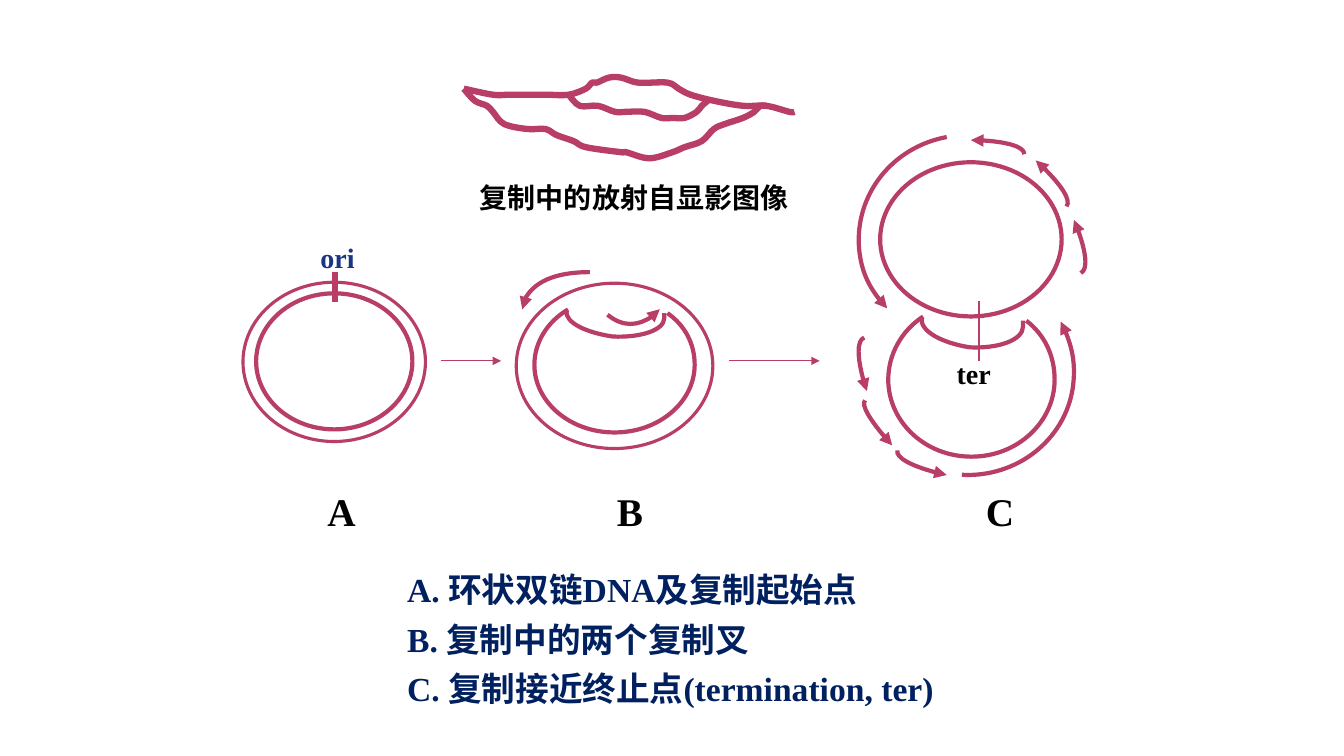
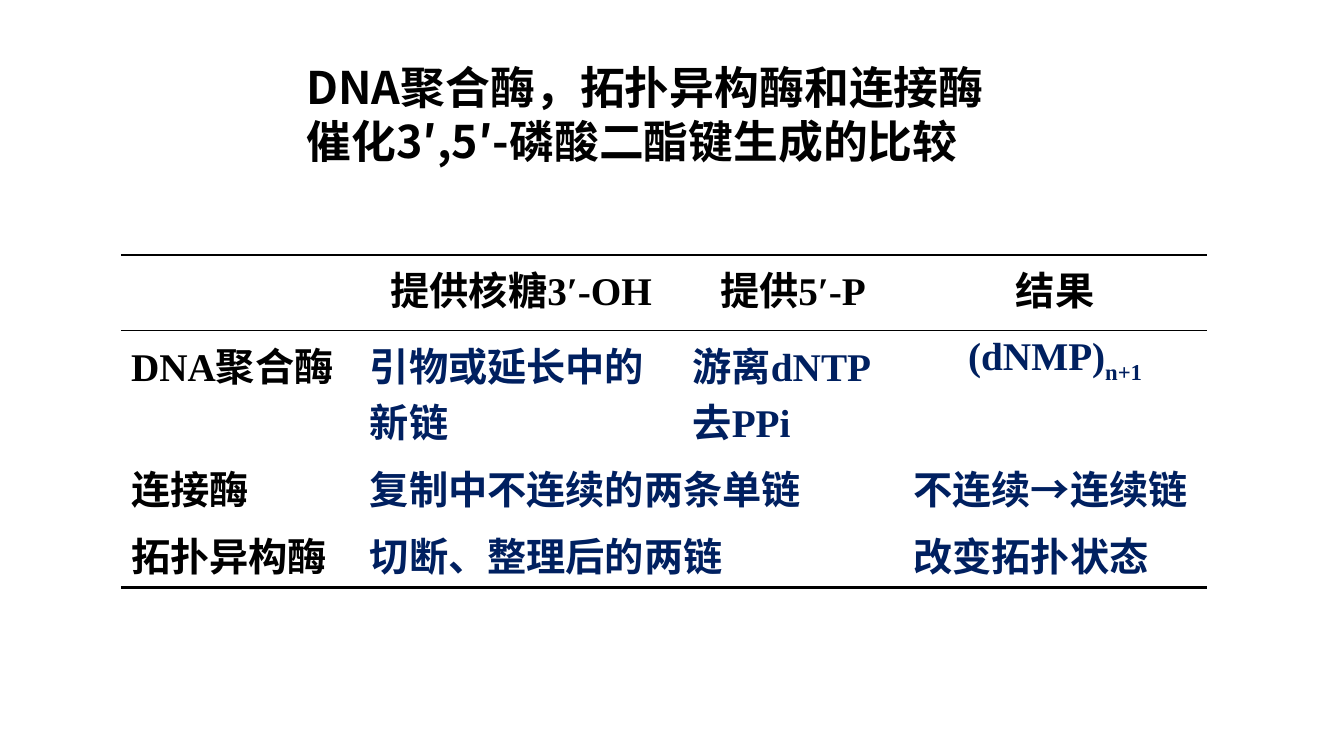
from lxml.etree import SubElement
from pptx import Presentation
from pptx.dml.color import RGBColor
from pptx.enum.shapes import MSO_CONNECTOR, MSO_SHAPE
from pptx.enum.text import MSO_ANCHOR, PP_ALIGN
from pptx.oxml.ns import qn
from pptx.util import Inches, Pt

ROSE, NAVY, BLUE, BLACK = "B83D68", "002060", "193583", "000000"
SERIF, SANS = "Times New Roman", "Noto Sans CJK SC"
NO_GRID = "{2D5ABB26-0587-4C30-8999-92F81FD0307C}"

# Cubic curves in a unit box: an open ring, the strand across its gap, two quarter arcs
RING = [(.83, .03), (.94, .13), (1, .28), (1, .45), (1, .75), (.78, 1), (.5, 1),
        (.22, 1), (0, .75), (0, .45), (0, .27), (.08, .1), (.21, 0)]
STRAND = [(.2, .01), (.19, .11), (.33, .19), (.49, .22), (.66, .23),
          (.81, .17), (.81, .07), (.81, .06), (.81, .04), (.81, .03)]
SWEEP = [(1, 0), (.45, 0), (0, .45), (0, 1)]
DART = [(1, 1), (1, .45), (.55, 0), (0, 0)]


def color(code):
    return RGBColor.from_string(code)


def style(para, size, code, face=SERIF, align=PP_ALIGN.LEFT):
    """Set the font of a paragraph, with one face for its Chinese text."""
    para.alignment = align
    fonts = [para.font] + [run.font for run in para.runs]
    for font in fonts:
        font.size, font.bold, font.name = Pt(size), True, face
        font.color.rgb = color(code)
        SubElement(font._element, qn("a:ea")).set("typeface", SANS)


def smooth(knots):
    """Turn knots into the points of cubic curves that pass through them."""
    ends = [knots[0], *knots, knots[-1]]
    out = [knots[0]]
    for a, b, c, d in zip(ends, ends[1:], ends[2:], ends[3:]):
        out.append((b[0] + (c[0] - a[0]) / 6, b[1] + (c[1] - a[1]) / 6))
        out.append((c[0] - (d[0] - b[0]) / 6, c[1] - (d[1] - b[1]) / 6))
        out.append(c)
    return out


def bend(shape, spots):
    """Replace the straight steps of a freeform by cubic curves."""
    route = next(shape._element.iter(qn("a:path")))
    for step in route.findall(qn("a:lnTo")):
        route.remove(step)
    for i in range(1, len(spots), 3):
        cubic = SubElement(route, qn("a:cubicBezTo"))
        for x, y in spots[i:i + 3]:
            point = SubElement(cubic, qn("a:pt"))
            point.set("x", str(x - shape.left))
            point.set("y", str(y - shape.top))


class Pane:
    """A region of a slide; lengths are inches from its top left corner."""

    def __init__(self, slide, left, top):
        self.shapes, self.left, self.top = slide.shapes, left, top

    def spot(self, x, y):
        return Inches(self.left + x), Inches(self.top + y)

    def ink(self, shape, width, arrow=False):
        shape.line.color.rgb = color(ROSE)
        shape.line.width = Pt(width)
        if arrow:
            SubElement(shape.line._get_or_add_ln(), qn("a:tailEnd")).set("type", "triangle")

    def oval(self, x, y, w, h, width):
        shape = self.shapes.add_shape(MSO_SHAPE.OVAL, *self.spot(x, y), Inches(w), Inches(h))
        shape.shadow.inherit = False
        shape.fill.background()
        self.ink(shape, width)

    def line(self, start, end, width, arrow=False):
        link = self.shapes.add_connector(MSO_CONNECTOR.STRAIGHT, *self.spot(*start), *self.spot(*end))
        self.ink(link, width, arrow)
        SubElement(link._element.spPr, qn("a:effectLst"))

    def curve(self, points, box=(0, 0, 1, 1), width=3, arrow=False, turn=0):
        """Draw cubic curves, scaled into a box and turned by some degrees."""
        x, y, w, h = box
        spots = [self.spot(x + u * w, y + v * h) for u, v in points]
        pen = self.shapes.build_freeform(*spots[0])
        pen.add_line_segments(spots[3::3], close=False)
        shape = pen.convert_to_shape()
        bend(shape, spots)
        shape.rotation = turn
        shape.shadow.inherit = False
        shape.fill.background()
        self.ink(shape, width, arrow)

    def fork(self, *box):
        for part in (RING, STRAND):
            self.curve(part, box)

    def text(self, x, y, w, h, lines, size, code, face=SERIF, align=PP_ALIGN.LEFT,
             wrap=True, pitch=None, gap=0, anchor=MSO_ANCHOR.TOP, tabs=()):
        frame = self.shapes.add_textbox(*self.spot(x, y), Inches(w), Inches(h)).text_frame
        frame.word_wrap, frame.vertical_anchor = wrap, anchor
        frame.text = "\n".join(lines)
        for i, para in enumerate(frame.paragraphs):
            if pitch:
                para.line_spacing = Pt(pitch)
            if i:
                para.space_before = Pt(gap)
            if tabs:
                stops = SubElement(para._p.get_or_add_pPr(), qn("a:tabLst"))
                for tab in tabs:
                    stop = SubElement(stops, qn("a:tab"))
                    stop.set("pos", str(Inches(tab)))
                    stop.set("algn", "l")
            style(para, size, code, face, align)


def film(pane):
    """Draw the autoradiograph with its caption."""
    top = [(0, .18), (.29, .24), (.46, .24), (.81, .24), (1.04, .24), (1.21, .18),
           (1.27, .12), (1.32, .12), (1.44, .07), (1.56, .07), (1.73, .12), (2.02, .12),
           (2.13, .18), (2.25, .24), (2.48, .3), (2.77, .35), (3, .35), (3.23, .41),
           (3.28, .41)]
    low = [(0, .18), (.11, .3), (.23, .35), (.29, .41), (.4, .53), (.63, .58), (.81, .58),
           (.92, .64), (1.09, .7), (1.21, .76), (1.56, .81), (1.61, .81), (1.84, .87),
           (2.07, .81), (2.19, .76), (2.36, .7), (2.48, .58), (2.59, .53), (2.77, .47),
           (2.88, .41), (2.94, .35), (3, .35)]
    inner = [(1.04, .24), (1.15, .35), (1.33, .35), (1.5, .41), (1.61, .41), (1.79, .41),
             (1.96, .47), (2.07, .47), (2.19, .47), (2.31, .41), (2.36, .35), (2.42, .3)]
    for strand in (top, low, inner):
        pane.curve(smooth(strand), width=4.5)
    pane.text(-.3, 1.04, 3.98, .44, ["复制中的放射自显影图像"], 20, BLACK, SANS, PP_ALIGN.CENTER)


def start(pane):
    """Draw stage A, the closed double ring."""
    pane.oval(.01, .5, 1.81, 1.58, 2.25)
    pane.oval(.14, .61, 1.55, 1.35, 3)
    pane.line((.92, .4), (.92, .7), 4.5)
    pane.text(.68, .04, .54, .44, ["ori"], 20, BLUE, wrap=False)


def open_ring(pane):
    """Draw stage B, the ring with two forks."""
    pane.oval(.02, .11, 1.95, 1.64, 2.25)
    pane.fork(.2, .37, 1.59, 1.22)
    pane.curve(SWEEP, (.08, 0, .67, .37), arrow=True)
    pane.curve(SWEEP, (1, .21, .37, .37), arrow=True, turn=219)


def finish(pane):
    """Draw stage C, two rings that are about to part."""
    pane.fork(.31, 1.84, 1.65, 1.39)
    pane.oval(.23, .31, 1.8, 1.53, 3)
    left = [(.89, .06), (.35, .16), (-.02, .63), (.02, 1.16), (.04, 1.38), (.14, 1.6), (.3, 1.76)]
    right = [(1.04, 3.41), (1.58, 3.44), (2.06, 3.07), (2.14, 2.55), (2.17, 2.33), (2.13, 2.09),
             (2.02, 1.89)]
    for arc in (left, right):
        pane.curve(arc, arrow=True)
    darts = [(1.13, .09, .53, .14, 0), (1.66, .45, .53, .14, 41.4), (1.93, 1.07, .51, .15, 66.3),
             (-.17, 2.24, .51, .15, 250.8), (-.04, 2.84, .51, .11, 226.8),
             (.38, 3.22, .53, .14, 191.6)]
    for *box, turn in darts:
        pane.curve(DART, box, arrow=True, turn=turn)
    pane.line((1.21, 1.69), (1.21, 2.28), 1.5)
    pane.text(.89, 2.19, .54, .44, ["ter"], 20, BLACK, wrap=False)


def stages(slide):
    film(Pane(slide, 4.6, .7))
    start(Pane(slide, 2.4, 2.3))
    open_ring(Pane(slide, 5.1, 2.7))
    finish(Pane(slide, 8.5, 1.3))
    page = Pane(slide, 0, 0)
    for left, right in ((4.37, 4.97), (7.23, 8.13)):
        page.line((left, 3.58), (right, 3.58), .75, arrow=True)
    page.text(3.15, 4.79, 7.1, .57, ["A\tB\tC"], 28, BLACK, tabs=(2.87, 6.53))
    page.text(3.94, 5.59, 6.15, 1.48,
              ["A. 环状双链DNA及复制起始点", "B. 复制中的两个复制叉",
               "C. 复制接近终止点(termination, ter)"], 24, NAVY, pitch=29.3, gap=6)


def rule(cell, side, width):
    """Set the border on one side of a cell, lnT or lnB; no width leaves it clear."""
    edge = SubElement(cell._tc.get_or_add_tcPr(), qn("a:" + side))
    if width:
        edge.set("w", str(Pt(width)))
        SubElement(SubElement(edge, qn("a:solidFill")), qn("a:srgbClr")).set("val", BLACK)
    else:
        SubElement(edge, qn("a:noFill"))


def grid(slide, left, top):
    rows = [["", "提供核糖3′-OH", "提供5′-P", "结果"],
            ["DNA聚合酶", "引物或延长中的新链", "游离dNTP去PPi", "(dNMP)"],
            ["连接酶", "复制中不连续的两条单链", "", "不连续→连续链"],
            ["拓扑异构酶", "切断、整理后的两链", "", "改变拓扑状态"]]
    widths, heights = (2.37, 3.2, 2.19, 3.01), (.75, 1.22, .65, .65)
    rules = ((2.25, 1), (1, 0), (0, 0), (0, 2.25))
    table = slide.shapes.add_table(4, 4, Inches(left), Inches(top), Inches(sum(widths)),
                                   Inches(sum(heights))).table
    table.first_row = table.horz_banding = False
    table._tbl.tblPr.find(qn("a:tableStyleId")).text = NO_GRID
    for col, width in zip(table.columns, widths):
        col.width = Inches(width)
    for row, height in zip(table.rows, heights):
        row.height = Inches(height)
    for r in (2, 3):
        table.cell(r, 1).merge(table.cell(r, 2))
    for r, texts in enumerate(rows):
        for c, words in enumerate(texts):
            cell = table.cell(r, c)
            for side, width in zip(("lnT", "lnB"), rules[r]):
                rule(cell, side, width)
            cell.fill.background()
            para = cell.text_frame.paragraphs[0]
            if words:
                para.add_run().text = words
            power = (r, c) == (1, 3)
            if power:
                low = para.add_run()
                low.text = "n+1"
                low.font._element.set("baseline", "-25000")
            style(para, 28, NAVY if r and c else BLACK,
                  align=PP_ALIGN.CENTER if r == 0 or power else PP_ALIGN.LEFT)


def compare(slide):
    grid(slide, 1.2, 2.53)
    Pane(slide, 2.94, .37).text(
        0, 0, 7.3, 1.51, ["DNA聚合酶，拓扑异构酶和连接酶催化3′,5′-磷酸二酯键生成的比较"],
        32, BLACK, SANS, pitch=38.6, anchor=MSO_ANCHOR.MIDDLE)


def main():
    deck = Presentation()
    deck.slide_width, deck.slide_height = Inches(13.33), Inches(7.5)
    for build in (stages, compare):
        build(deck.slides.add_slide(deck.slide_layouts[6]))
    deck.save("out.pptx")


if __name__ == "__main__":
    main()
